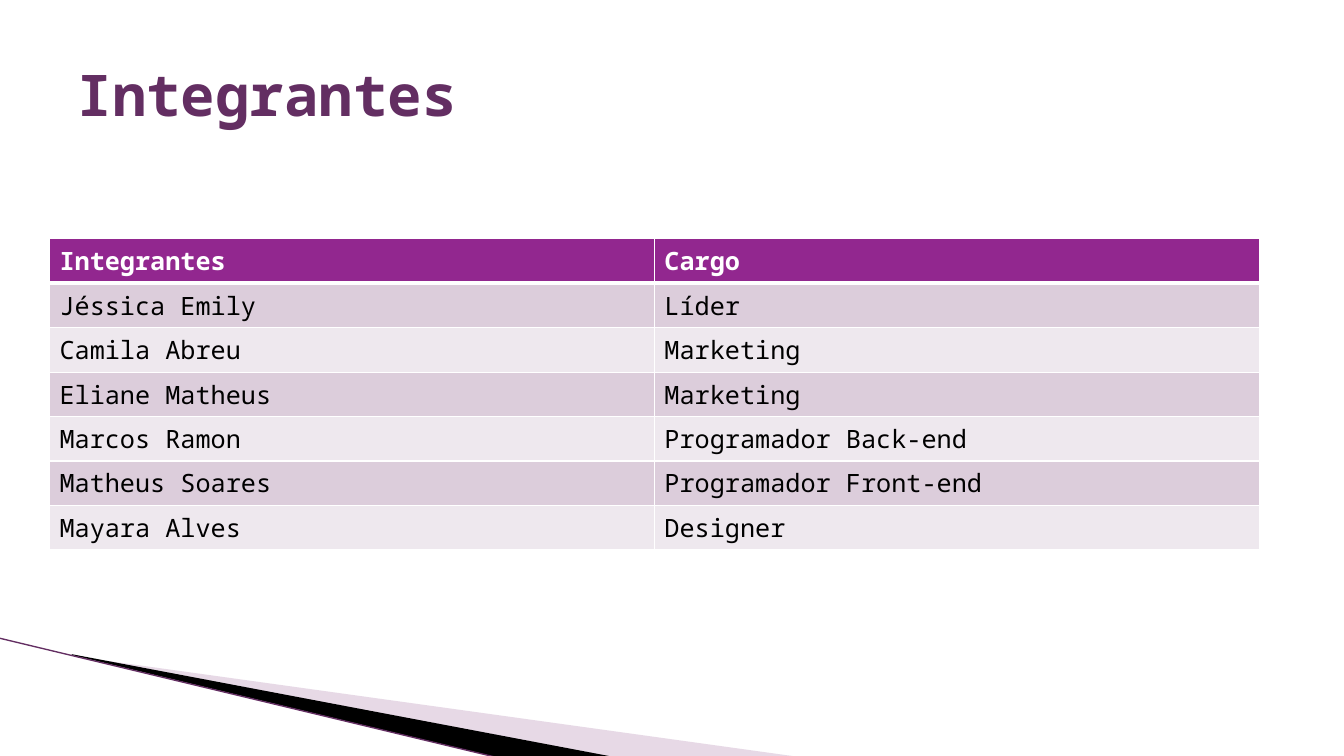
from dataclasses import dataclass

from lxml.etree import SubElement
from pptx import Presentation
from pptx.dml.color import RGBColor
from pptx.enum.shapes import MSO_CONNECTOR
from pptx.enum.text import MSO_ANCHOR, PP_ALIGN
from pptx.oxml import parse_xml
from pptx.oxml.ns import nsdecls, qn
from pptx.util import Inches, Pt


@dataclass(frozen=True)
class Theme:
    font: str = "Noto Sans Mono"
    title_size: float = 41
    table_size: float = 18
    title: str = "632E62"
    header: str = "92278F"
    bands: tuple = ("DCCDDB", "EEE8EE")
    text: str = "000000"
    white: str = "FFFFFF"
    wedge: str = "C4A1C2"
    edge: str = "632E62"


class SlideBuilder:
    def __init__(self, prs, theme):
        self.theme = theme
        self.slide = prs.slides.add_slide(prs.slide_layouts[5])

    def add_run(self, p, text, size, color, bold):
        r = p.add_run()
        r.text = text
        r.font.name = self.theme.font
        r.font.size = Pt(size)
        r.font.bold = bold
        r.font.color.rgb = RGBColor.from_string(color)

    def title(self, text, x, y, w, h):
        sp = self.slide.shapes.title
        sp.left, sp.top, sp.width, sp.height = map(Inches, (x, y, w, h))
        tf = sp.text_frame
        tf.word_wrap = True
        tf.vertical_anchor = MSO_ANCHOR.MIDDLE
        p = tf.paragraphs[0]
        p.alignment = PP_ALIGN.LEFT
        self.add_run(p, text, self.theme.title_size, self.theme.title, True)

    def wedge(self, points, color, opacity=100):
        start, *rest = [(Inches(x), Inches(y)) for x, y in points]
        builder = self.slide.shapes.build_freeform(*start)
        builder.add_line_segments(rest, close=True)
        sp = builder.convert_to_shape()
        sp.shadow.inherit = False
        sp.line.fill.background()
        sp.fill.solid()
        sp.fill.fore_color.rgb = RGBColor.from_string(color)
        if opacity < 100:
            clr = sp.fill._xPr.find(qn("a:solidFill"))[0]
            SubElement(clr, qn("a:alpha"), val=str(opacity * 1000))

    def line(self, x1, y1, x2, y2, color, width):
        cx = self.slide.shapes.add_connector(
            MSO_CONNECTOR.STRAIGHT, *map(Inches, (x1, y1, x2, y2)))
        cx.line.color.rgb = RGBColor.from_string(color)
        cx.line.width = Pt(width)
        SubElement(cx._element.spPr, qn("a:effectLst"))

    def borders(self, cell, bottom=1, top=1):
        tcPr = cell._tc.get_or_add_tcPr()
        widths = {"lnL": 1, "lnR": 1, "lnT": top, "lnB": bottom}
        for i, (side, width) in enumerate(widths.items()):
            tcPr.insert(i, parse_xml(
                f'<a:{side} {nsdecls("a")} w="{Pt(width)}"><a:solidFill>'
                f'<a:srgbClr val="{self.theme.white}"/></a:solidFill></a:{side}>'))

    def table(self, rows, x, y, col_w, row_h):
        t = self.theme
        n_cols = len(rows[0])
        table = self.slide.shapes.add_table(
            len(rows), n_cols, Inches(x), Inches(y),
            Inches(col_w * n_cols), Inches(row_h * len(rows))).table
        for i, values in enumerate(rows):
            table.rows[i].height = Inches(row_h)
            header = i == 0
            fill = t.header if header else t.bands[(i - 1) % 2]
            for j, value in enumerate(values):
                cell = table.cell(i, j)
                cell.fill.solid()
                cell.fill.fore_color.rgb = RGBColor.from_string(fill)
                self.borders(cell, bottom=3 if header else 1, top=3 if i == 1 else 1)
                self.add_run(cell.text_frame.paragraphs[0], value, t.table_size,
                             t.white if header else t.text, header)


def main():
    prs = Presentation()
    prs.slide_width, prs.slide_height = Inches(13.33), Inches(7.5)
    theme = Theme()
    s = SlideBuilder(prs, theme)

    # Corner decoration
    s.wedge([(0.73, 6.51), (7.93, 7.51), (6.08, 7.51), (0.73, 6.5)], theme.wedge, 40)
    s.wedge([(0.71, 6.49), (6.09, 7.51), (4.96, 7.52), (0.72, 6.5)], theme.text)
    s.line(-0.01, 6.33, 4.95, 7.52, theme.edge, 0.95)

    # Title
    s.title("Integrantes", 0.67, 0.3, 12, 1.25)

    # Team members and roles
    s.table([
        ("Integrantes", "Cargo"),
        ("Jéssica Emily", "Líder"),
        ("Camila Abreu", "Marketing"),
        ("Eliane Matheus", "Marketing"),
        ("Marcos Ramon", "Programador Back-end"),
        ("Matheus Soares", "Programador Front-end"),
        ("Mayara Alves", "Designer"),
    ], 0.49, 2.37, 6, 0.41)

    prs.save("out.pptx")


if __name__ == "__main__":
    main()
